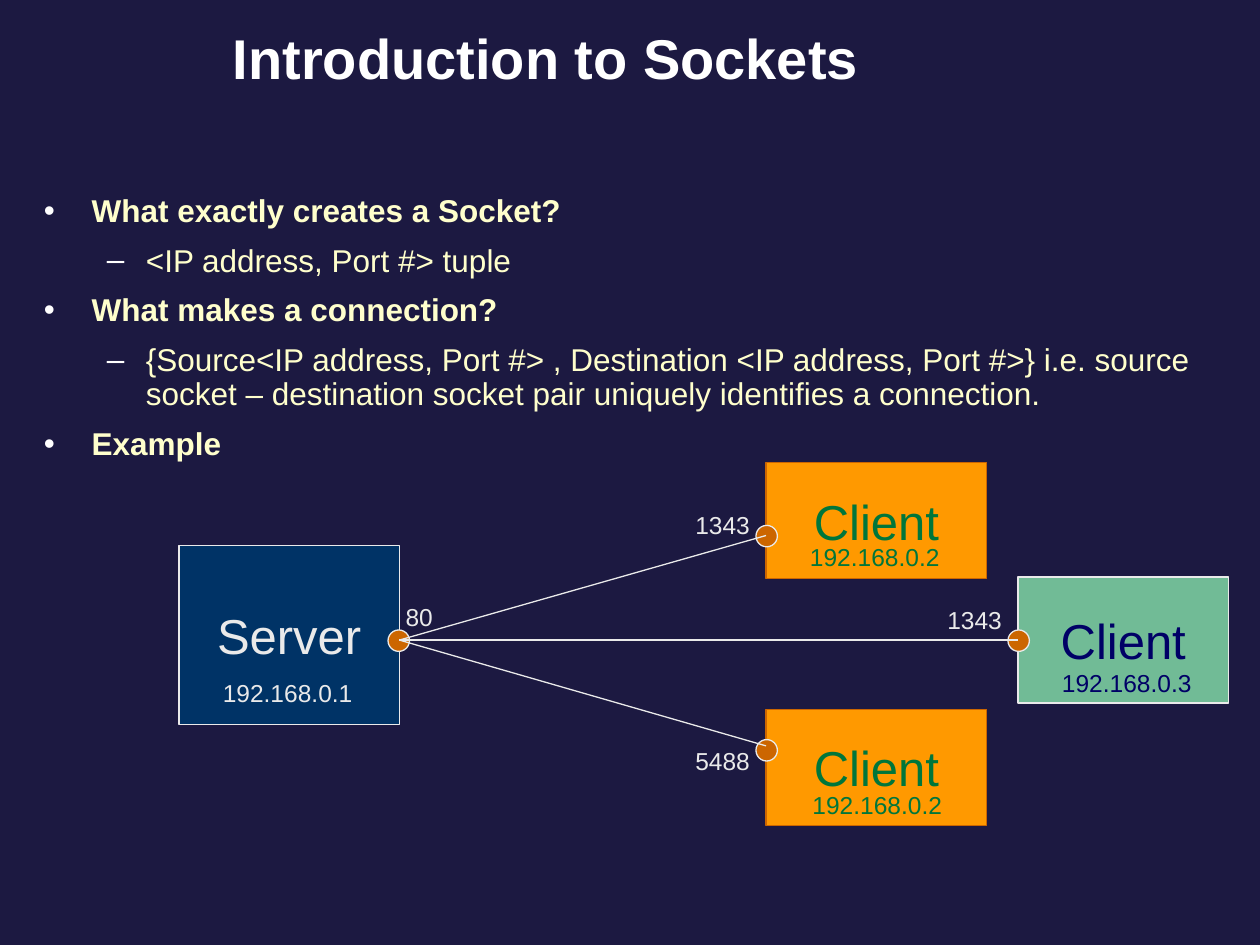
import pptx
import pptx.util
import pptx.dml.color
import pptx.enum.shapes
import pptx.enum.text
import pptx.oxml.ns
from lxml import etree

Inches, Pt = pptx.util.Inches, pptx.util.Pt
MSO_SHAPE = pptx.enum.shapes.MSO_SHAPE
ALIGN = pptx.enum.text.PP_ALIGN
ANCHOR = pptx.enum.text.MSO_ANCHOR
qn = pptx.oxml.ns.qn

PALE, ORANGE, GREEN, NAVY = "EAEAEA", "CC6600", "00763B", "000066"
TITLE = "Introduction to Sockets"
BULLETS = [
    (0, "What exactly creates a Socket?"),
    (1, "<IP address, Port #> tuple"),
    (0, "What makes a connection?"),
    (1, "{Source<IP address, Port #> , Destination <IP address, Port #>} i.e. source "
        "socket – destination socket pair uniquely identifies a connection."),
    (0, "Example"),
]
LEVELS = [("•", 0.38, 0.38, True), ("–", 0.81, 0.31, False)]
HOSTS = [
    ("Server", (1.42, 4.33, 1.75, 1.42), "003366", PALE, PALE),
    ("Client", (6.08, 3.67, 1.75, 0.92), "FF9900", ORANGE, GREEN),
    ("Client", (6.08, 5.63, 1.75, 0.92), "FF9900", ORANGE, GREEN),
    ("Client", (8.08, 4.58, 1.67, 1), "71BB96", PALE, NAVY),
]
PORTS = [(3.08, 5), (6, 4.17), (6, 5.87), (8, 5)]
PORT_SIZE = 0.17
SERVER_END = (3.17, 5.08)
CLIENT_ENDS = [(6.08, 4.25), (6.08, 5.92), (8.08, 5.08)]
LABELS = [
    ("192.168.0.1", 1.67, 5.33, 1.27, PALE),
    ("192.168.0.2", 6.33, 4.25, 1.27, GREEN),
    ("192.168.0.2", 6.35, 6.22, 1.27, GREEN),
    ("192.168.0.3", 8.33, 5.25, 1.27, NAVY),
    ("80", 3.12, 4.73, 0.45, PALE),
    ("1343", 5.42, 4, 0.67, PALE),
    ("5488", 5.42, 5.87, 0.67, PALE),
    ("1343", 7.42, 4.75, 0.67, PALE),
]


def rgb(color):
    return pptx.dml.color.RGBColor.from_string(color)


def add_run(p, text, size, color, bold=False):
    r = p.add_run()
    r.text = text
    r.font.name, r.font.size, r.font.bold = "Arial", Pt(size), bold
    r.font.color.rgb = rgb(color)


def add_text(s, x, y, w, h):
    tf = s.shapes.add_textbox(*map(Inches, (x, y, w, h))).text_frame
    tf.word_wrap = True
    return tf


def add_filled(s, kind, box, fill, line):
    sp = s.shapes.add_shape(kind, *map(Inches, box))
    sp.shadow.inherit = False
    sp.fill.solid()
    sp.fill.fore_color.rgb = rgb(fill)
    sp.line.color.rgb = rgb(line)
    sp.line.width = Pt(0.75)
    return sp


def add_host(s, name, box, fill, line, color):
    sp = add_filled(s, MSO_SHAPE.RECTANGLE, box, fill, line)
    tf = sp.text_frame
    tf.word_wrap = False
    tf.vertical_anchor = ANCHOR.MIDDLE
    p = tf.paragraphs[0]
    p.alignment = ALIGN.CENTER
    add_run(p, name, 28, color)
    return sp


def add_line(s, start, end):
    cx = s.shapes.add_connector(pptx.enum.shapes.MSO_CONNECTOR.STRAIGHT,
                                *map(Inches, start + end))
    cx.line.color.rgb = rgb(PALE)
    cx.line.width = Pt(0.75)
    etree.SubElement(cx._element.spPr, qn("a:effectLst"))
    return cx


def add_bullet(p, level, text):
    mark, margin, hang, bold = LEVELS[level]
    p.level = level
    p.line_spacing = 0.9
    p.space_before = Pt(9)
    pPr = p._p.get_or_add_pPr()
    pPr.set("marL", str(Inches(margin)))
    pPr.set("indent", str(-Inches(hang)))
    clr = etree.SubElement(pPr, qn("a:buClr"))
    etree.SubElement(clr, qn("a:srgbClr"), val="FFFFFF")
    etree.SubElement(pPr, qn("a:buFont"), typeface="Arial")
    etree.SubElement(pPr, qn("a:buChar"), char=mark)
    add_run(p, text, 18, "FFFFCC", bold)


def main():
    prs = pptx.Presentation()
    prs.slide_width, prs.slide_height = Inches(10), Inches(7.5)
    s = prs.slides.add_slide(prs.slide_layouts[6])
    s.background.fill.solid()
    s.background.fill.fore_color.rgb = rgb("1C1941")

    tf = add_text(s, 1.75, 0, 8, 1)
    tf.vertical_anchor = ANCHOR.MIDDLE
    tf.paragraphs[0].line_spacing = 0.8
    add_run(tf.paragraphs[0], TITLE, 32, "FFFFFF", True)

    tf = add_text(s, 0.25, 1.5, 9.5, 2.44)
    for i, (level, text) in enumerate(BULLETS):
        add_bullet(tf.add_paragraph() if i else tf.paragraphs[0], level, text)

    hosts = [add_host(s, *host) for host in HOSTS]
    for x, y in PORTS:
        add_filled(s, MSO_SHAPE.OVAL, (x, y, PORT_SIZE, PORT_SIZE), ORANGE, PALE)
    lines = [add_line(s, SERVER_END, end) for end in CLIENT_ENDS]
    lines[-1].end_connect(hosts[-1], 1)

    for text, x, y, w, color in LABELS:
        tf = add_text(s, x, y, w, 0.34)
        add_run(tf.paragraphs[0], text, 14, color)

    prs.save("out.pptx")


if __name__ == "__main__":
    main()
